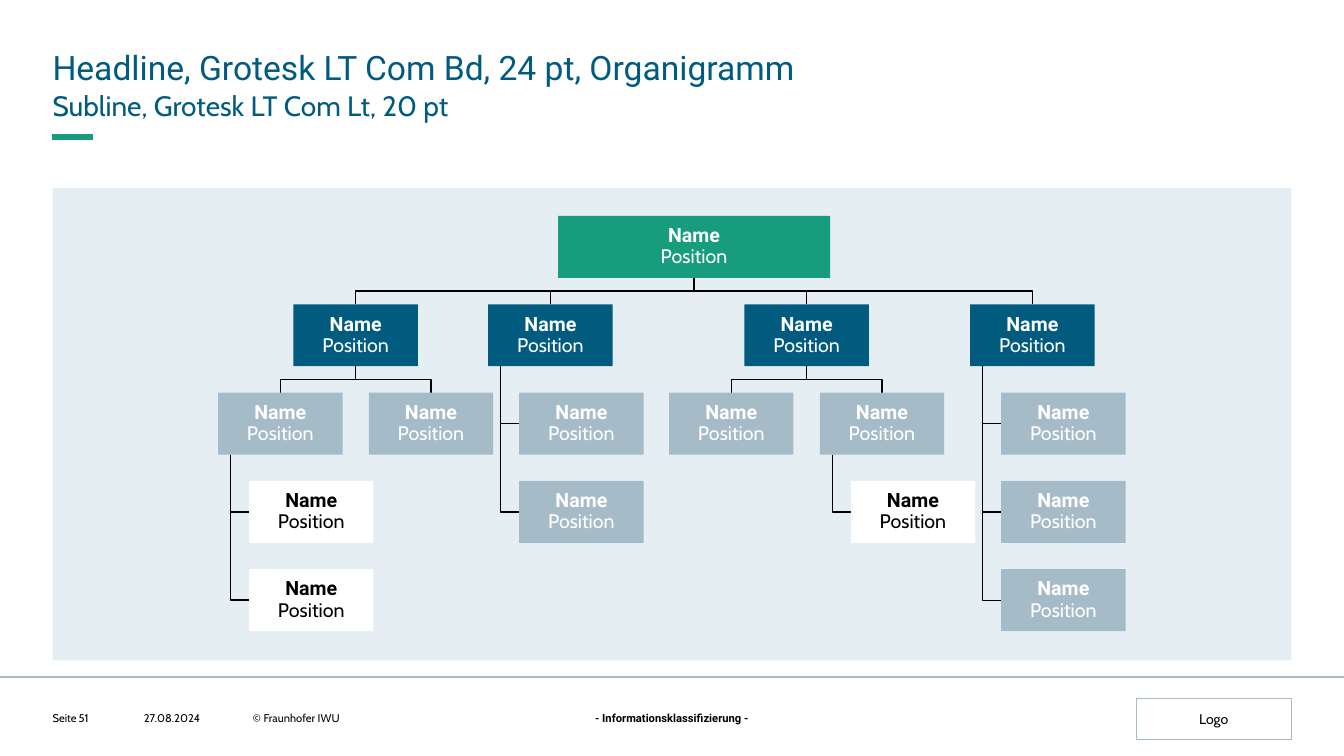
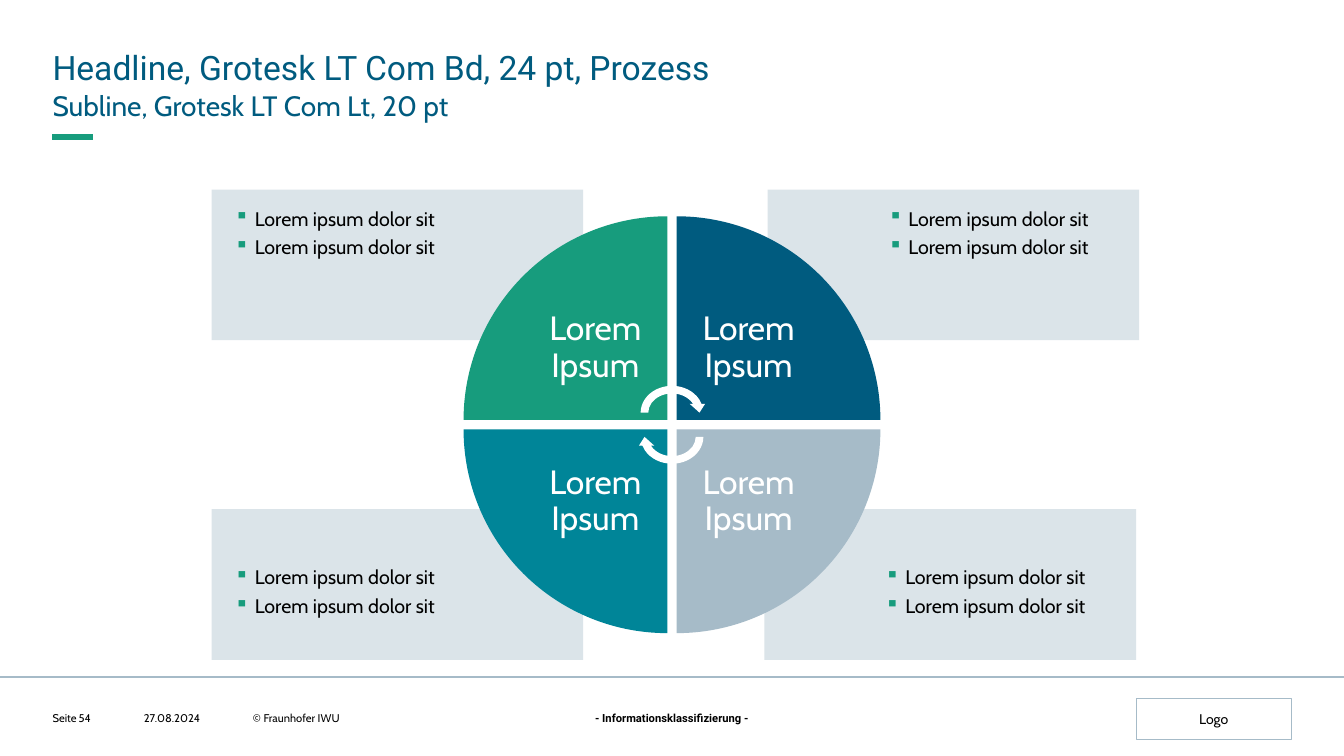
"""Build an org chart slide and a process slide in one shared frame."""
from copy import deepcopy
from dataclasses import dataclass
from typing import Any

from lxml.etree import SubElement
from pptx import Presentation
from pptx.dml.color import RGBColor
from pptx.enum.shapes import MSO_CONNECTOR, MSO_SHAPE
from pptx.enum.text import MSO_ANCHOR, MSO_AUTO_SIZE, PP_ALIGN
from pptx.oxml.ns import qn
from pptx.shapes.autoshape import Shape
from pptx.slide import Slide
from pptx.text.text import TextFrame
from pptx.util import Emu, Inches, Pt

COLS, ROWS = 128, 72
UNIT = Inches(7.5) // ROWS

GREEN = RGBColor(0x17, 0x9C, 0x7D)
BLUE = RGBColor(0x00, 0x5B, 0x7F)
TEAL = RGBColor(0x00, 0x85, 0x98)
STEEL = RGBColor(0xA6, 0xBB, 0xC8)
PALE = RGBColor(0xE5, 0xEE, 0xF2)
MIST = RGBColor(0xDB, 0xE4, 0xE9)
WHITE = RGBColor(0xFF, 0xFF, 0xFF)
BLACK = RGBColor(0x00, 0x00, 0x00)

HEAD, TEXT = "Roboto", "Cabin"
EDGE, WIDE = 5, 118
SMALL = {"name": TEXT, "size": Pt(8)}
STRONG = {"name": HEAD, "size": Pt(8), "bold": True}
LOGO = {"name": TEXT, "size": Pt(10)}
NAME = {"name": HEAD, "size": Pt(14), "bold": True}
PLAIN = {"name": TEXT, "size": Pt(14), "bold": False}
LARGE = {"name": TEXT, "size": Pt(24)}
TITLE = {"name": HEAD, "size": Pt(24), "bold": False}
SUB = {"name": TEXT, "size": Pt(20)}

LEFT = {"alignment": PP_ALIGN.LEFT}
MID = {"alignment": PP_ALIGN.CENTER}
TIGHT = {"alignment": PP_ALIGN.CENTER, "line_spacing": 0.9}
LOOSE = {"alignment": PP_ALIGN.LEFT, "line_spacing": 1.1, "space_before": Pt(0)}
ITEM = {"alignment": PP_ALIGN.LEFT, "line_spacing": 1.1, "space_after": Pt(2)}

BOX_W, BOX_H, PITCH, TOP = 11.85, 5.9, 8.41, 20.57
CHIEF_W, CHIEF_MID = 25.9, 66.1
INDENT, SPREAD = 2.95, 14.35
STEM = BOX_W / 10
HUB_X, HUB_Y, RADIUS, GAP, LABEL = 64, 40.45, 19.4, 0.45, 13.7


@dataclass
class Spot:
    """Place and size in grid cells."""
    x: float
    y: float
    w: float
    h: float

    def emu(self) -> tuple[Emu, ...]:
        """Give the place and size as lengths."""
        return tuple(grid(v) for v in (self.x, self.y, self.w, self.h))


@dataclass
class Node:
    """One post of the chart and the posts below it."""
    fill: RGBColor
    kids: tuple["Node", ...] = ()
    hang: bool = True


@dataclass
class Panel:
    """One list panel with its text insets."""
    x: float
    y: float
    side: float
    head: float


@dataclass
class Wedge:
    """One quarter of the wheel."""
    col: int
    row: int
    turn: int
    fill: RGBColor


def grid(cells: float) -> Emu:
    """Turn grid cells into a length."""
    return Emu(round(cells * UNIT))


def style(item: Any, form: dict[str, Any]) -> None:
    """Set each format value on the item."""
    for key, value in form.items():
        setattr(item, key, value)


def write(frame: TextFrame, parts: list[tuple[str, dict]], ink: RGBColor,
          form: dict, pad: float = 0, anchor: MSO_ANCHOR = MSO_ANCHOR.MIDDLE) -> None:
    """Fill the frame with one paragraph, one line per part."""
    style(frame, {"word_wrap": True, "auto_size": MSO_AUTO_SIZE.NONE,
                  "vertical_anchor": anchor})
    style(frame, {f"margin_{side}": grid(pad)
                  for side in ("left", "top", "right", "bottom")})
    para = frame.paragraphs[0]
    style(para, form)
    for num, (words, face) in enumerate(parts):
        if num:
            para.add_line_break()
        run = para.add_run()
        run.text = words
        style(run.font, face)
        run.font.color.rgb = ink
    for gap in para._p.findall(qn("a:br")):
        gap.append(deepcopy(para.runs[0]._r.find(qn("a:rPr"))))


def shape(slide: Slide, kind: MSO_SHAPE, spot: Spot, fill: RGBColor) -> Shape:
    """Add a flat filled shape."""
    form = slide.shapes.add_shape(kind, *spot.emu())
    form.shadow.inherit = False
    form.fill.solid()
    form.fill.fore_color.rgb = fill
    form.line.fill.background()
    return form


def label(slide: Slide, spot: Spot, words: str, face: dict, ink: RGBColor,
          form: dict, pad: float = 0) -> TextFrame:
    """Add a text box."""
    frame = slide.shapes.add_textbox(*spot.emu()).text_frame
    write(frame, [(words, face)], ink, form, pad)
    return frame


def rule(slide: Slide, start: float, end: float, y: float,
         ink: RGBColor, width: float) -> None:
    """Add a level line."""
    line = slide.shapes.add_connector(MSO_CONNECTOR.STRAIGHT, grid(start), grid(y),
                                      grid(end), grid(y))
    line.line.color.rgb = ink
    line.line.width = Pt(width)
    SubElement(line._element.spPr, qn("a:effectLst"))


def base(deck: Any, topic: str, page: str) -> Slide:
    """Add a slide with title, subline, rules and footer."""
    slide = deck.slides.add_slide(deck.slide_layouts[1])
    title, body = slide.placeholders
    heads = ((title, Spot(EDGE, 4.1, WIDE, 4), f"Headline, Grotesk LT Com Bd, 24 pt, {topic}", TITLE),
             (body, Spot(EDGE, 8.15, WIDE, 3.4), "Subline, Grotesk LT Com Lt, 20 pt", SUB))
    for holder, spot, words, face in heads:
        style(holder, dict(zip(("left", "top", "width", "height"), spot.emu())))
        write(holder.text_frame, [(words, face)], BLUE, LOOSE, anchor=MSO_ANCHOR.TOP)
    props = body.text_frame.paragraphs[0]._p.get_or_add_pPr()
    style_props(props, 0)
    SubElement(props, qn("a:buNone"))
    rule(slide, EDGE, 8.84, 13.05, GREEN, 4)
    rule(slide, 0, COLS, 64.5, STEEL, 1.5)
    notes = (("Seite", EDGE, 2.4), (page, 7.5, 4.3),
             ("27.08.2024", 13.7, 9), ("© Fraunhofer IWU", 24.1, 31))
    for words, x, w in notes:
        label(slide, Spot(x, 67.8, w, 1.25), words, SMALL, BLACK, LEFT)
    mark = label(slide, Spot(56.4, 67.8, 15.2, 1.25), "- Informationsklassifizierung -",
                 STRONG, BLACK, MID)
    mark.word_wrap = False
    logo = shape(slide, MSO_SHAPE.RECTANGLE, Spot(108.2, 66.5, 14.8, 3.95), WHITE)
    logo.line.color.rgb = STEEL
    logo.line.width = Pt(0.75)
    write(logo.text_frame, [("Logo", LOGO)], BLACK, MID, 1.15)
    return slide


def style_props(props: Any, hang: int) -> None:
    """Set the hanging indent of a paragraph."""
    props.set("marL", str(hang))
    props.set("indent", str(-hang))


def post(slide: Slide, spot: Spot, fill: RGBColor) -> None:
    """Draw one post with name and position."""
    box = shape(slide, MSO_SHAPE.RECTANGLE, spot, fill)
    ink = BLACK if fill == WHITE else WHITE
    write(box.text_frame, [("Name", NAME), ("Position", PLAIN)], ink, TIGHT, 0.1)


def link(slide: Slide, points: list[tuple[float, float]]) -> None:
    """Draw an angled line through the points."""
    first, *rest = [(grid(x), grid(y)) for x, y in points]
    pen = slide.shapes.build_freeform(*first)
    pen.add_line_segments(rest, close=False)
    line = pen.convert_to_shape()
    line.shadow.inherit = False
    line.fill.background()
    line.line.color.rgb = BLACK
    line.line.width = Pt(1)


def fork(slide: Slide, start: float, end: float, top: float) -> None:
    """Link a post's foot to the head of a post one row down."""
    foot, head = top + BOX_H, top + PITCH
    half = (foot + head) / 2
    link(slide, [(start, foot), (start, half), (end, half), (end, head)])


def branch(slide: Slide, node: Node, x: float, row: int) -> None:
    """Draw a post and all posts below it."""
    top = TOP + row * PITCH
    post(slide, Spot(x, top, BOX_W, BOX_H), node.fill)
    for num, kid in enumerate(node.kids):
        if node.hang:
            mid = top + (num + 1) * PITCH + BOX_H / 2
            link(slide, [(x + STEM, top + BOX_H), (x + STEM, mid), (x + INDENT, mid)])
            branch(slide, kid, x + INDENT, row + num + 1)
        else:
            left = x + (num - (len(node.kids) - 1) / 2) * SPREAD
            fork(slide, x + BOX_W / 2, left + BOX_W / 2, top)
            branch(slide, kid, left, row + 1)


def chart(deck: Any) -> None:
    """Build the org chart slide."""
    slide = base(deck, "Organigramm", "51")
    shape(slide, MSO_SHAPE.RECTANGLE, Spot(EDGE, 17.9, WIDE, 45), PALE)
    post(slide, Spot(CHIEF_MID - CHIEF_W / 2, TOP, CHIEF_W, BOX_H), GREEN)
    leaf, white = Node(STEEL), Node(WHITE)
    teams = ((27.95, Node(BLUE, (Node(STEEL, (white, white)), leaf), False)),
             (46.5, Node(BLUE, (leaf, leaf))),
             (70.9, Node(BLUE, (leaf, Node(STEEL, (white,))), False)),
             (92.4, Node(BLUE, (leaf, leaf, leaf))))
    for x, node in teams:
        fork(slide, CHIEF_MID, x + BOX_W / 2, TOP)
        branch(slide, node, x, 1)


def points(frame: TextFrame, lines: list[str], panel: Panel) -> None:
    """Fill a panel with a bullet list."""
    style(frame, {"word_wrap": True, "vertical_anchor": MSO_ANCHOR.TOP,
                  "margin_left": grid(panel.side), "margin_top": grid(panel.head)})
    for num, words in enumerate(lines):
        para = frame.add_paragraph() if num else frame.paragraphs[0]
        props = para._p.get_or_add_pPr()
        style_props(props, Inches(0.2))
        tint = SubElement(props, qn("a:buClr"))
        SubElement(tint, qn("a:srgbClr"), val=str(GREEN))
        SubElement(props, qn("a:buChar"), char="▪")
        style(para, ITEM)
        run = para.add_run()
        run.text = words
        style(run.font, PLAIN)
        run.font.color.rgb = BLACK


def wheel(deck: Any) -> None:
    """Build the process slide."""
    slide = base(deck, "Prozess", "54")
    panels = (Panel(72.8, 48.5, 11.5, 5.1), Panel(20.15, 48.5, 2.2, 5.1),
              Panel(73.1, 18.05, 11.5, 1.4), Panel(20.15, 18.05, 2.2, 1.4))
    for panel in panels:
        box = shape(slide, MSO_SHAPE.RECTANGLE, Spot(panel.x, panel.y, 35.4, 14.35), MIST)
        points(box.text_frame, ["Lorem ipsum dolor sit"] * 2, panel)
    wedges = (Wedge(0, 0, 0, GREEN), Wedge(1, 0, 90, BLUE),
              Wedge(1, 1, 180, STEEL), Wedge(0, 1, 270, TEAL))
    for wedge in wedges:
        def part(size: float) -> Spot:
            """Place a square in this quarter, next to the hub."""
            shift = (-GAP - size, GAP)
            return Spot(HUB_X + shift[wedge.col], HUB_Y + shift[wedge.row], size, size)
        pie = shape(slide, MSO_SHAPE.PIE_WEDGE, part(RADIUS), wedge.fill)
        pie.rotation = wedge.turn
        label(slide, part(LABEL), "Lorem Ipsum", LARGE, WHITE, TIGHT, 1.8)
    for turn, shift in ((0, -1.15), (180, 1.15)):
        spot = Spot(HUB_X - 3.35, HUB_Y + shift - 2.92, 6.7, 5.85)
        shape(slide, MSO_SHAPE.CIRCULAR_ARROW, spot, WHITE).rotation = turn


def main() -> None:
    """Build and save the deck."""
    deck = Presentation()
    deck.slide_width, deck.slide_height = grid(COLS), grid(ROWS)
    chart(deck)
    wheel(deck)
    deck.save("out.pptx")


if __name__ == "__main__":
    main()
